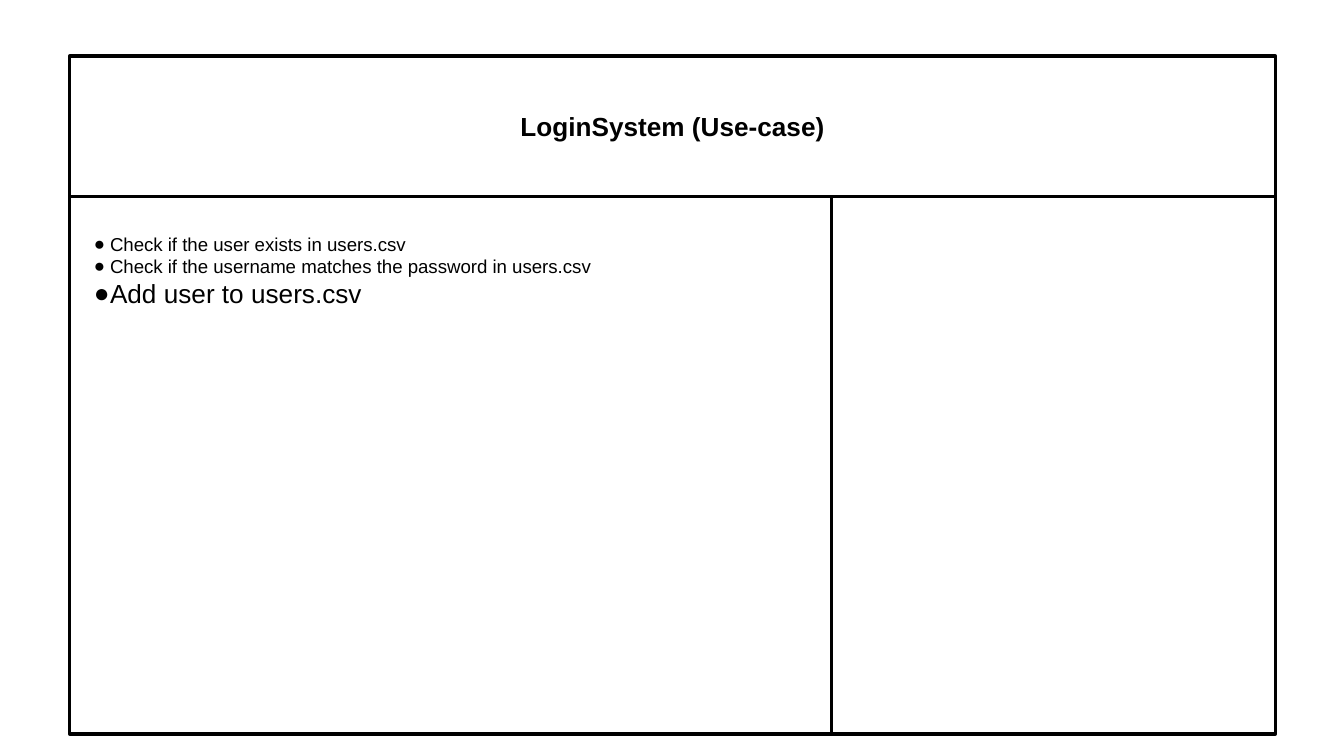
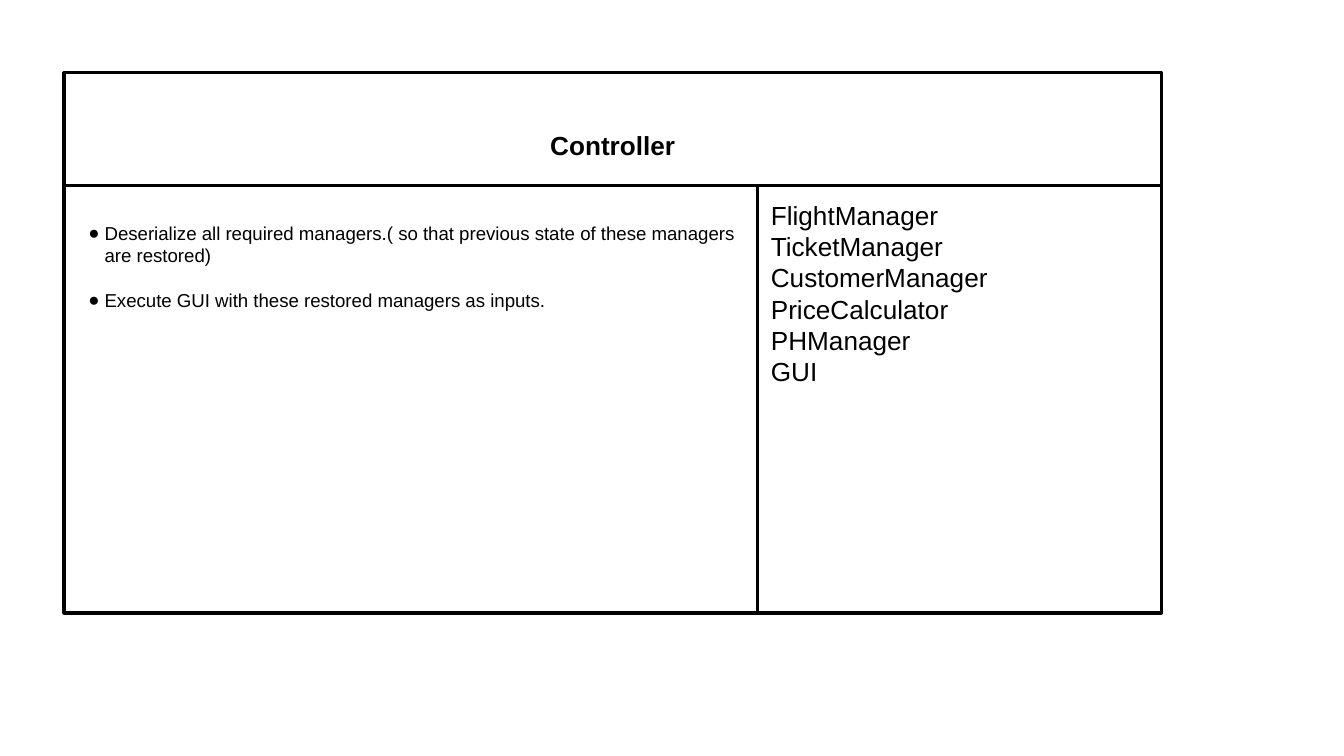
from dataclasses import dataclass

from lxml.etree import SubElement
from pptx import Presentation
from pptx.dml.color import RGBColor
from pptx.enum.shapes import MSO_SHAPE as Shape
from pptx.enum.text import MSO_ANCHOR as Anchor, PP_ALIGN as Align
from pptx.oxml.ns import qn
from pptx.util import Inches, Pt

COLORS = {"ink": "000000", "paper": "FFFFFF"}
FONT = "Arial"
INSET = 0.1
DUTY_TOP = 0.27
DUTY_SHARE = 0.632  # part of the card's width given to responsibilities


@dataclass(frozen=True)
class Line:
    text: str
    size: int = 14
    bold: bool = False
    bullet: bool = False
    before: int = 0
    align: Align = Align.LEFT


@dataclass(frozen=True)
class Card:
    left: float
    top: float
    width: float
    height: float
    header: float
    title: str
    duties: tuple[Line, ...]
    partners: tuple[str, ...] = ()
    title_top: float = INSET


CARDS = (
    Card(0.52, 0.42, 8.97, 5.04, 1.04, "LoginSystem (Use-case)", (
        Line("Check if the user exists in users.csv", 10, bullet=True),
        Line("Check if the username matches the password in users.csv", 10, bullet=True),
        Line("Add user to users.csv", bullet=True),
    )),
    Card(0.48, 0.54, 8.16, 4.02, 0.84, "Controller", (
        Line("Deserialize all required managers.( so that previous state of "
             "these managers are restored)", 10, bullet=True),
        Line("Execute GUI with these restored managers as inputs.", 10,
             bullet=True, before=12),
    ), ("FlightManager", "TicketManager", "CustomerManager", "PriceCalculator",
        "PHManager", "GUI"), title_top=0.34),
)


def color(name: str) -> RGBColor:
    return RGBColor.from_string(COLORS[name])


def add_bullet(para) -> None:
    """Give a paragraph a round bullet with a hanging indent."""
    properties = para._p.get_or_add_pPr()
    properties.set("marL", str(Inches(0.2)))
    properties.set("indent", str(Inches(-0.12)))
    bullet_color = SubElement(properties, qn("a:buClr"))
    SubElement(bullet_color, qn("a:srgbClr")).set("val", COLORS["ink"])
    SubElement(properties, qn("a:buFont")).set("typeface", FONT)
    SubElement(properties, qn("a:buChar")).set("char", "●")


def write(box, lines: tuple[Line, ...], top: float, anchor: Anchor) -> None:
    frame = box.text_frame
    frame.word_wrap = True
    frame.vertical_anchor = anchor
    frame.margin_left = frame.margin_right = frame.margin_bottom = Inches(INSET)
    frame.margin_top = Inches(top)
    for index, line in enumerate(lines):
        para = frame.add_paragraph() if index else frame.paragraphs[0]
        para.alignment = line.align
        if line.before:
            para.space_before = Pt(line.before)
        if line.bullet:
            add_bullet(para)
        span = para.add_run()
        span.text = line.text
        span.font.name = FONT
        span.font.size = Pt(line.size)
        span.font.bold = line.bold
        span.font.color.rgb = color("ink")


def add_panel(group, left: float, top: float, width: float, height: float,
              lines: tuple[Line, ...] = (), border: float = 1.5,
              inset_top: float = INSET, anchor: Anchor = Anchor.TOP) -> None:
    box = group.shapes.add_shape(Shape.RECTANGLE, Inches(left), Inches(top),
                                 Inches(width), Inches(height))
    box.shadow.inherit = False
    box.fill.solid()
    box.fill.fore_color.rgb = color("paper")
    box.line.color.rgb = color("ink")
    box.line.width = Pt(border)
    if lines:
        write(box, lines, inset_top, anchor)


def add_card(page, card: Card) -> None:
    group = page.shapes.add_group_shape()
    duty_width = card.width * DUTY_SHARE
    body_top = card.top + card.header
    body_height = card.height - card.header

    # Outer frame and title band
    add_panel(group, card.left, card.top, card.width, card.height, border=2.25)
    title = Line(card.title, bold=True, align=Align.CENTER)
    add_panel(group, card.left, card.top, card.width, card.header, (title,),
              inset_top=card.title_top, anchor=Anchor.MIDDLE)

    # Responsibilities and collaborators
    add_panel(group, card.left, body_top, duty_width, body_height, card.duties,
              inset_top=DUTY_TOP)
    add_panel(group, card.left + duty_width, body_top, card.width - duty_width,
              body_height, tuple(Line(name) for name in card.partners))


def main() -> None:
    deck = Presentation()
    # Widescreen, 16 to 9
    deck.slide_width = Inches(10)
    deck.slide_height = Inches(10) * 9 // 16
    for card in CARDS:
        page = deck.slides.add_slide(deck.slide_layouts[6])
        page.background.fill.solid()
        page.background.fill.fore_color.rgb = color("paper")
        add_card(page, card)
    deck.save("out.pptx")


if __name__ == "__main__":
    main()
